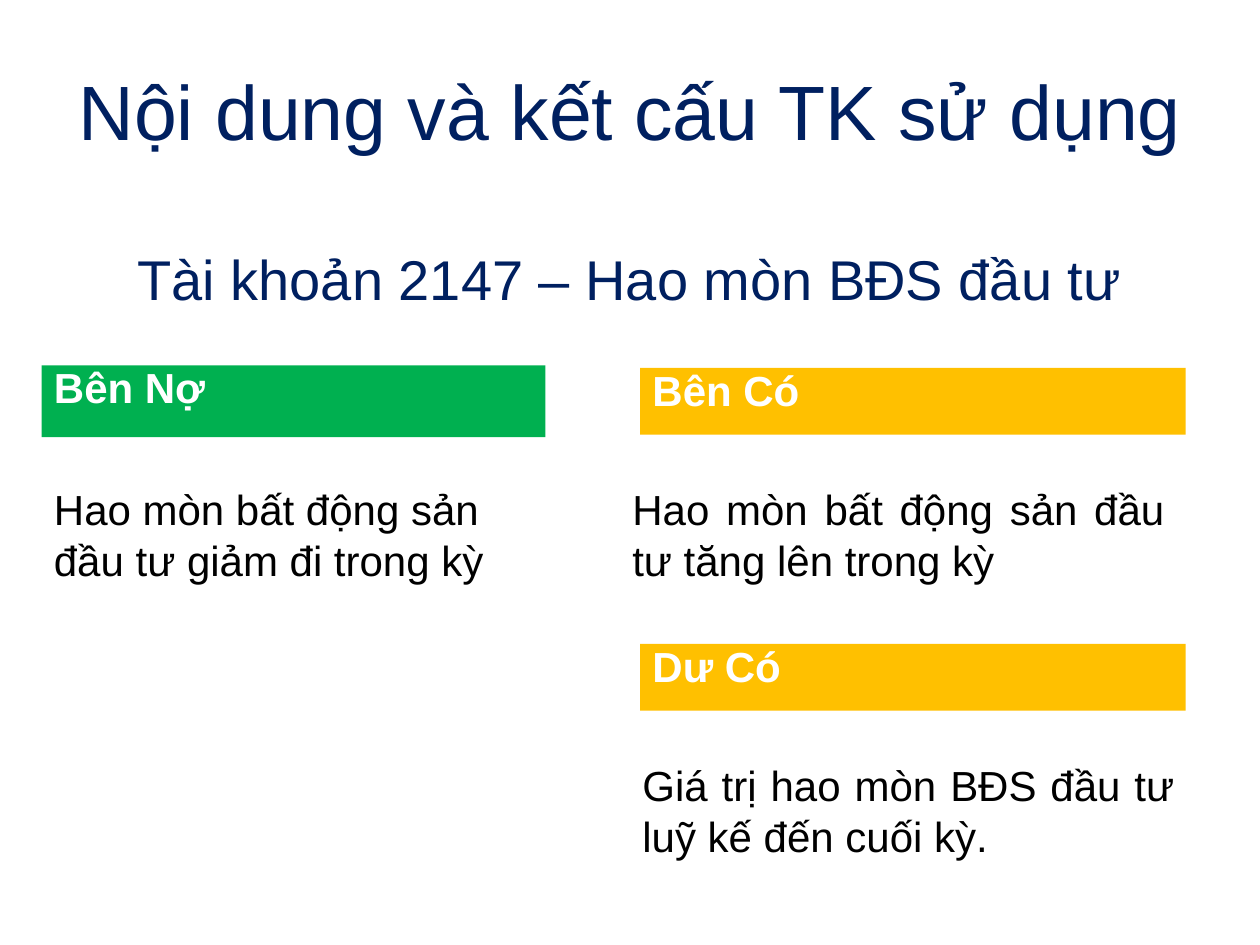
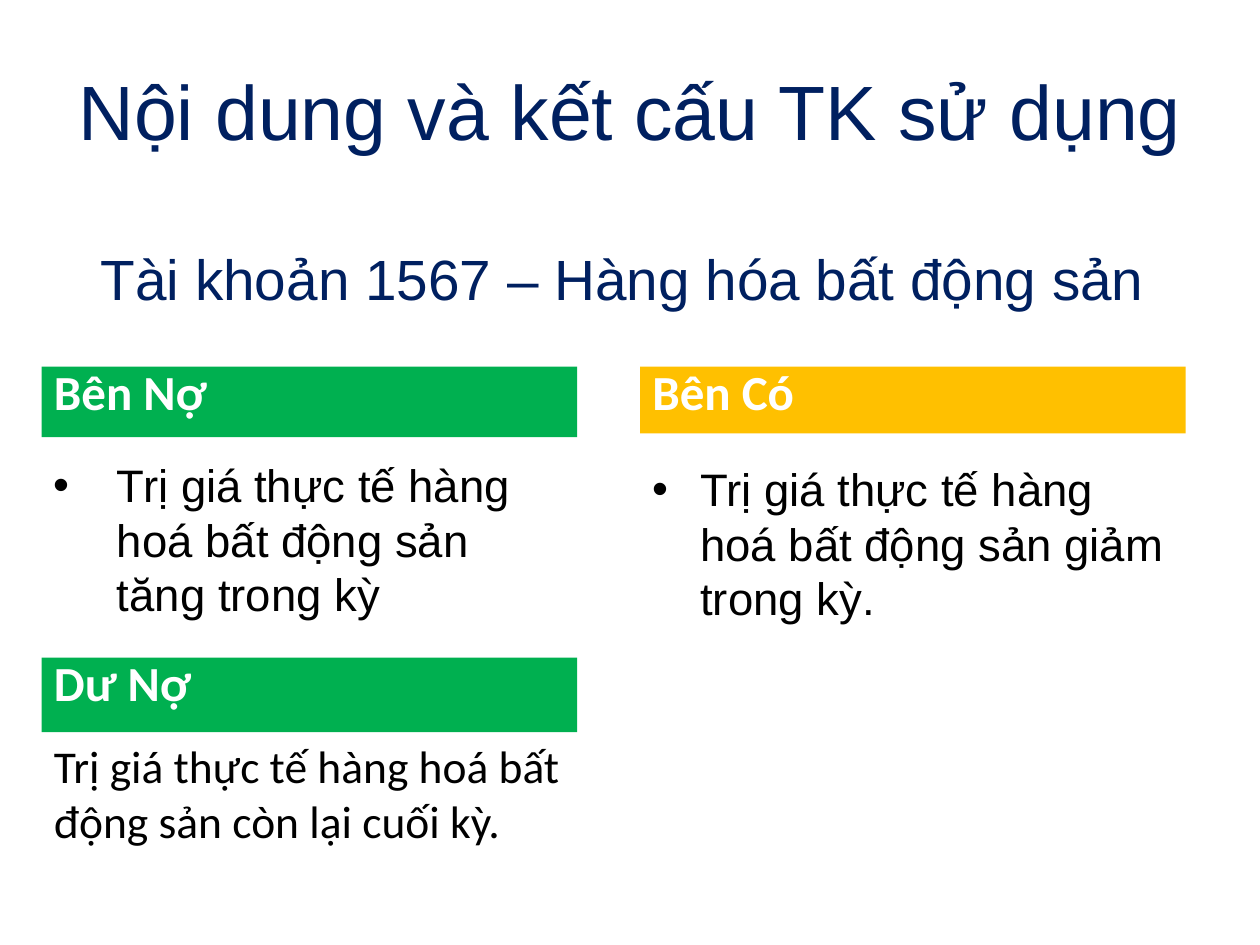
from pptx import Presentation
from pptx.dml.color import RGBColor
from pptx.enum.shapes import MSO_SHAPE
from pptx.enum.text import MSO_ANCHOR, MSO_AUTO_SIZE, PP_ALIGN
from pptx.oxml.ns import qn
from pptx.util import Inches, Pt
from lxml.etree import SubElement

NAVY = RGBColor(0x00, 0x20, 0x60)
GREEN = RGBColor(0x00, 0xB0, 0x50)
AMBER = RGBColor(0xFF, 0xC0, 0x00)
WHITE = RGBColor(0xFF, 0xFF, 0xFF)
BLACK = RGBColor(0x00, 0x00, 0x00)

HEADING = "Nội dung và kết cấu TK sử dụng"
HEADING_BOX = (0.42, 0.3, 9.17, 0.78)


def write(sp, text, size, color, font="Arial", bold=False, align=PP_ALIGN.LEFT,
          spacing=None, anchor=MSO_ANCHOR.TOP, bullet_indent=0):
    tf = sp.text_frame
    tf.word_wrap = True
    tf.vertical_anchor = anchor
    tf.text = text
    p = tf.paragraphs[0]
    p.alignment = align
    if spacing:
        p.line_spacing = spacing
    if bullet_indent:
        pPr = p._p.get_or_add_pPr()
        pPr.set("marL", str(Inches(bullet_indent)))
        pPr.set("indent", str(-Inches(bullet_indent)))
        SubElement(pPr, qn("a:buFont")).set("typeface", "Arial")
        SubElement(pPr, qn("a:buChar")).set("char", "•")
    f = p.runs[0].font
    f.name, f.size, f.bold = font, Pt(size), bold
    f.color.rgb = color


def add_text(s, box, text, size, color, **style):
    sp = s.shapes.add_textbox(*map(Inches, box))
    write(sp, text, size, color, **style)
    return sp


def add_titles(s, account, box, size):
    centred = {"align": PP_ALIGN.CENTER, "anchor": MSO_ANCHOR.MIDDLE}
    add_text(s, box, account, size, NAVY, **centred)
    add_text(s, HEADING_BOX, HEADING, 44, NAVY, spacing=1.5, **centred)


def add_bar(s, box, label, fill, size, font="Arial"):
    sp = s.shapes.add_shape(MSO_SHAPE.RECTANGLE, *map(Inches, box))
    sp.shadow.inherit = False
    sp.fill.solid()
    sp.fill.fore_color.rgb = fill
    sp.line.fill.background()
    write(sp, label, size, WHITE, font=font, bold=True, spacing=0.8)


def add_body(s, box, text, size, **style):
    sp = add_text(s, box, text, size, BLACK, **style)
    sp.text_frame.auto_size = MSO_AUTO_SIZE.SHAPE_TO_FIT_TEXT


def depreciation_slide(s):
    add_titles(s, "Tài khoản 2147 – Hao mòn BĐS đầu tư", (0.5, 1.69, 9, 1.03), 32)
    add_bar(s, (0.33, 2.9, 4, 0.57), "Bên Nợ", GREEN, 24)
    add_body(s, (0.33, 3.79, 4, 0.91),
             "Hao mòn bất động sản đầu tư giảm đi trong kỳ", 24)
    credit_blocks = [
        ("Bên Có", 2.92, 4.92, "Hao mòn bất động sản đầu tư tăng lên trong kỳ"),
        ("Dư Có", 5.11, 5, "Giá trị hao mòn BĐS đầu tư luỹ kế đến cuối kỳ."),
    ]
    for label, top, body_left, text in credit_blocks:
        add_bar(s, (5.08, top, 4.33, 0.53), label, AMBER, 24)
        add_body(s, (body_left, top + 0.87, 4.42, 0.91), text, 24,
                 align=PP_ALIGN.JUSTIFY)


def goods_slide(s):
    add_titles(s, "Tài khoản 1567 – Hàng hóa bất động sản",
               (0.44, 1.69, 9, 1.03), 32.4)
    blocks = [
        ("Bên Nợ", GREEN, (0.33, 2.91, 4.25, 0.56), 3.58,
         "Trị giá thực tế hàng hoá bất động sản tăng trong kỳ",
         {"bullet_indent": 0.5}),
        ("Bên Có", AMBER, (5.08, 2.91, 4.33, 0.53), 3.61,
         "Trị giá thực tế hàng hoá bất động sản giảm trong kỳ.",
         {"bullet_indent": 0.38}),
        ("Dư Nợ", GREEN, (0.33, 5.22, 4.25, 0.59), 5.81,
         "Trị giá thực tế hàng hoá bất động sản còn lại cuối kỳ.",
         {"font": "Calibri"}),
    ]
    for label, fill, box, body_top, text, style in blocks:
        left, _, width, _ = box
        add_bar(s, box, label, fill, 28, font="Calibri")
        add_body(s, (left, body_top, width, 1.41), text, 26, **style)


def main():
    prs = Presentation()
    prs.slide_width, prs.slide_height = Inches(10), Inches(7.5)
    for build in (depreciation_slide, goods_slide):
        build(prs.slides.add_slide(prs.slide_layouts[6]))
    prs.save("out.pptx")


if __name__ == "__main__":
    main()
